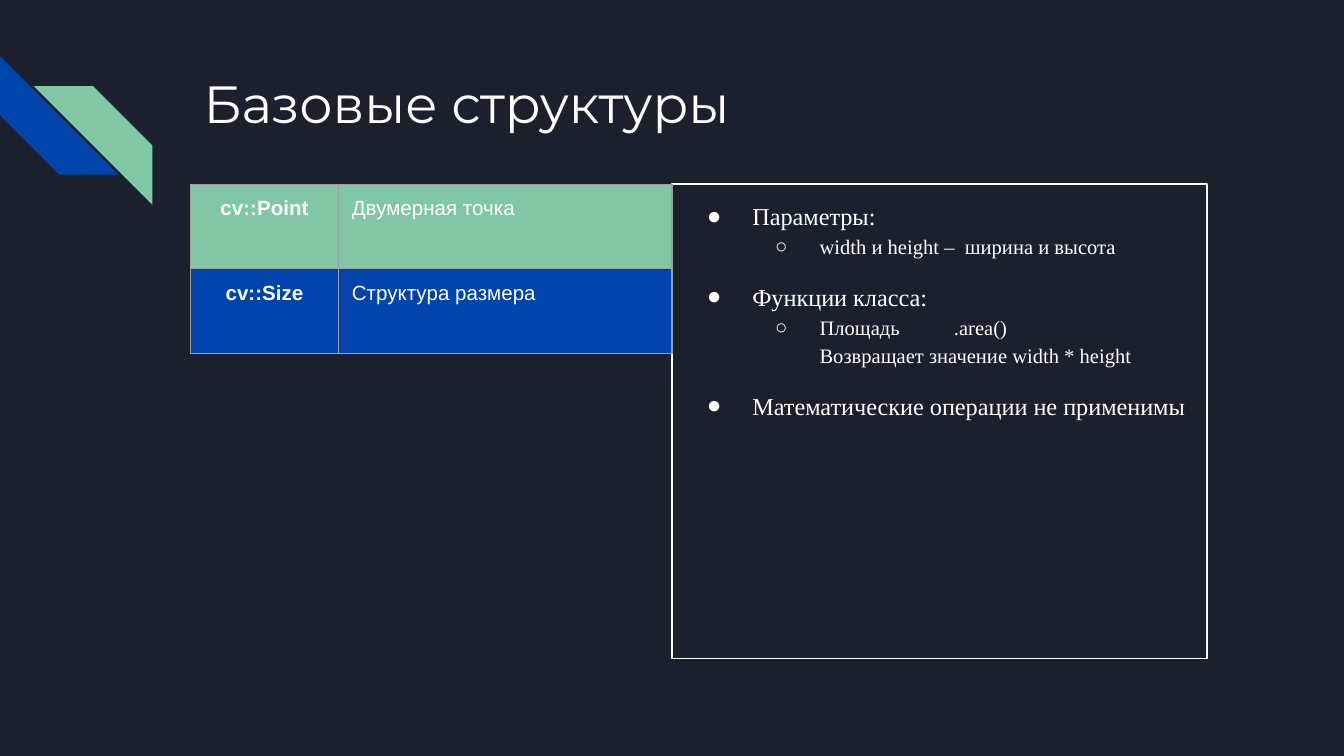
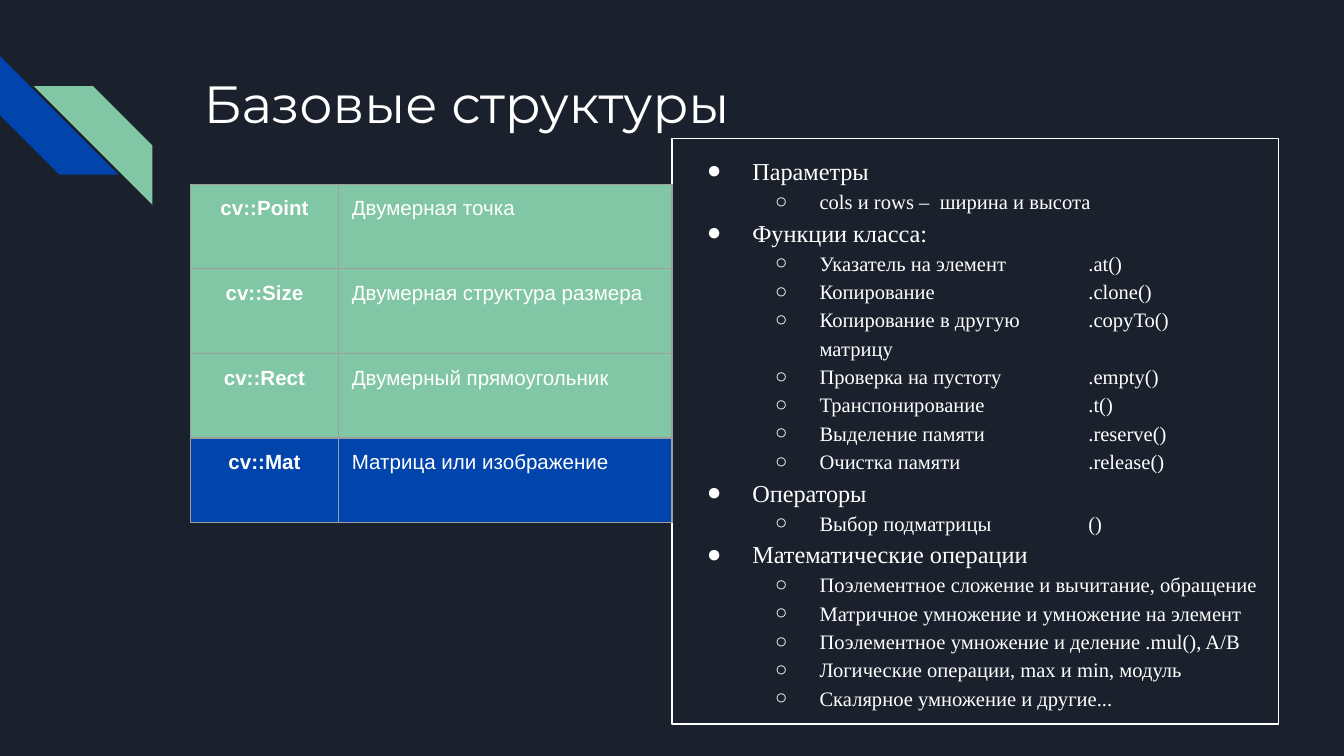
import copy

import lxml.etree
import pptx
import pptx.dml.color
import pptx.enum.shapes
import pptx.enum.text
import pptx.oxml.ns
import pptx.util

Cm = pptx.util.Cm
Pt = pptx.util.Pt
qn = pptx.oxml.ns.qn
LEFT = pptx.enum.text.PP_ALIGN.LEFT
CENTER = pptx.enum.text.PP_ALIGN.CENTER
TOP = pptx.enum.text.MSO_ANCHOR.TOP

NAVY, BLUE, GREEN, WHITE, GREY = "1B212C", "0145AC", "82C7A5", "FFFFFF", "9E9E9E"
INSET = Cm(0.25)
TABLE_LEFT, TABLE_TOP, ROW_HEIGHT = Cm(3.6), Cm(3.48), Cm(1.6)
COLUMN_WIDTHS = [Cm(2.8), Cm(6.3)]
BULLETS = [("●", 13, Cm(1.27), Cm(-0.86)), ("○", 11, Cm(2.54), Cm(-0.84))]

topics = [
    {
        "structures": [("cv::Point", "Двумерная точка"), ("cv::Size", "Структура размера")],
        "panel": (12.7, 3.48, 10.11, 8.97),
        "gap": 10,
        "details": [
            ("Параметры:", ["width и height –  ширина и высота"]),
            ("Функции класса:", ["Площадь\t.area()\nВозвращает значение width * height"]),
            ("Математические операции не применимы", []),
        ],
    },
    {
        "structures": [
            ("cv::Point", "Двумерная точка"),
            ("cv::Size", "Двумерная структура размера"),
            ("cv::Rect", "Двумерный прямоугольник"),
            ("cv::Mat", "Матрица или изображение"),
        ],
        "panel": (12.7, 2.62, 11.46, 11.07),
        "gap": 0,
        "details": [
            ("Параметры", ["cols и rows –  ширина и высота"]),
            ("Функции класса:", [
                "Указатель на элемент\t\t.at()",
                "Копирование\t\t\t.clone()",
                "Копирование в другую \t.copyTo()\nматрицу",
                "Проверка на пустоту\t\t.empty()",
                "Транспонирование\t\t.t()",
                "Выделение памяти\t\t.reserve()",
                "Очистка памяти\t\t.release()",
            ]),
            ("Операторы", ["Выбор подматрицы \t\t()"]),
            ("Математические операции", [
                "Поэлементное сложение и вычитание, обращение",
                "Матричное умножение и умножение на элемент",
                "Поэлементное умножение и деление .mul(), A/B",
                "Логические операции, max и min, модуль",
                "Скалярное умножение и другие...",
            ]),
        ],
    },
]


def color(value):
    return pptx.dml.color.RGBColor.from_string(value)


def write(paragraph, text, size, font, bold=False, align=LEFT):
    paragraph.text = text
    paragraph.alignment = align
    for run in paragraph.runs:
        run.font.size = Pt(size)
        run.font.name = font
        run.font.bold = bold
        run.font.color.rgb = color(WHITE)
    for line_break in paragraph._p.findall(qn("a:br")):
        line_break.append(copy.deepcopy(paragraph.runs[0]._r.rPr))


deck = pptx.Presentation()
deck.slide_width, deck.slide_height = Cm(25.4), Cm(14.29)
deck.slide_master.background.fill.solid()
deck.slide_master.background.fill.fore_color.rgb = color(NAVY)

for topic in topics:
    slide = deck.slides.add_slide(deck.slide_layouts[6])

    for left, top, fill, rotation, flip in [(0, 1.06, BLUE, 270, "0"), (0.64, 1.63, GREEN, 0, "1")]:
        stripe = slide.shapes.add_shape(
            pptx.enum.shapes.MSO_SHAPE.DIAGONAL_STRIPE, Cm(left), Cm(top), Cm(2.24), Cm(2.24))
        stripe.shadow.inherit = False
        stripe.fill.solid()
        stripe.fill.fore_color.rgb = color(fill)
        stripe.line.fill.background()
        stripe.rotation = rotation
        stripe._element.spPr.xfrm.set("flipH", flip)

    title = slide.shapes.add_textbox(Cm(3.6), Cm(1.09), Cm(19.56), Cm(2.54))
    write(title.text_frame.paragraphs[0], "Базовые структуры", 28, "Montserrat")

    panel = slide.shapes.add_shape(
        pptx.enum.shapes.MSO_SHAPE.RECTANGLE, *[Cm(length) for length in topic["panel"]])
    panel.shadow.inherit = False
    panel.fill.background()
    panel.line.color.rgb = color(WHITE)
    panel.line.width = Pt(0.75)

    for frame in (title.text_frame, panel.text_frame):
        frame.word_wrap = True
        frame.vertical_anchor = TOP
        frame.margin_left = frame.margin_right = INSET
        frame.margin_top = frame.margin_bottom = INSET

    entries = []
    for heading, points in topic["details"]:
        entries.append((0, heading))
        entries.extend((1, point) for point in points)

    for index, (level, text) in enumerate(entries):
        entry = panel.text_frame.add_paragraph() if index else panel.text_frame.paragraphs[0]
        symbol, size, margin, indent = BULLETS[level]
        write(entry, text, size, "Times New Roman")
        entry.level = level
        entry.line_spacing = 1.15
        entry.space_before = Pt(topic["gap"] if index and level == 0 else 0)
        properties = entry._p.get_or_add_pPr()
        properties.set("marL", str(margin))
        properties.set("indent", str(indent))
        bullet_color = lxml.etree.SubElement(properties, qn("a:buClr"))
        lxml.etree.SubElement(bullet_color, qn("a:srgbClr"), val=WHITE)
        lxml.etree.SubElement(properties, qn("a:buFont"), typeface="Times New Roman")
        lxml.etree.SubElement(properties, qn("a:buChar"), char=symbol)

    structures = topic["structures"]
    table = slide.shapes.add_table(
        len(structures), 2, TABLE_LEFT, TABLE_TOP,
        sum(COLUMN_WIDTHS), ROW_HEIGHT * len(structures)).table
    table.first_row = table.horz_banding = False
    for column, width in zip(table.columns, COLUMN_WIDTHS):
        column.width = width

    for row, structure in enumerate(structures):
        table.rows[row].height = ROW_HEIGHT
        current = row == len(structures) - 1
        for column, text in enumerate(structure):
            cell = table.cell(row, column)
            cell.margin_left = cell.margin_right = INSET
            cell.margin_top = cell.margin_bottom = INSET
            cell.vertical_anchor = TOP
            is_name = column == 0
            label = cell.text_frame.paragraphs[0]
            write(label, text, 11, "Arial", is_name, CENTER if is_name else LEFT)
            label.space_after = Pt(16 if is_name else 0)
            cell.fill.solid()
            cell.fill.fore_color.rgb = color(BLUE if current else GREEN)
            borders = cell._tc.get_or_add_tcPr()
            for position, side in enumerate(("a:lnL", "a:lnR", "a:lnT", "a:lnB")):
                border = lxml.etree.Element(qn(side), w=str(Pt(0.75)))
                border_fill = lxml.etree.SubElement(border, qn("a:solidFill"))
                lxml.etree.SubElement(border_fill, qn("a:srgbClr"), val=GREY)
                borders.insert(position, border)

deck.save("out.pptx")
